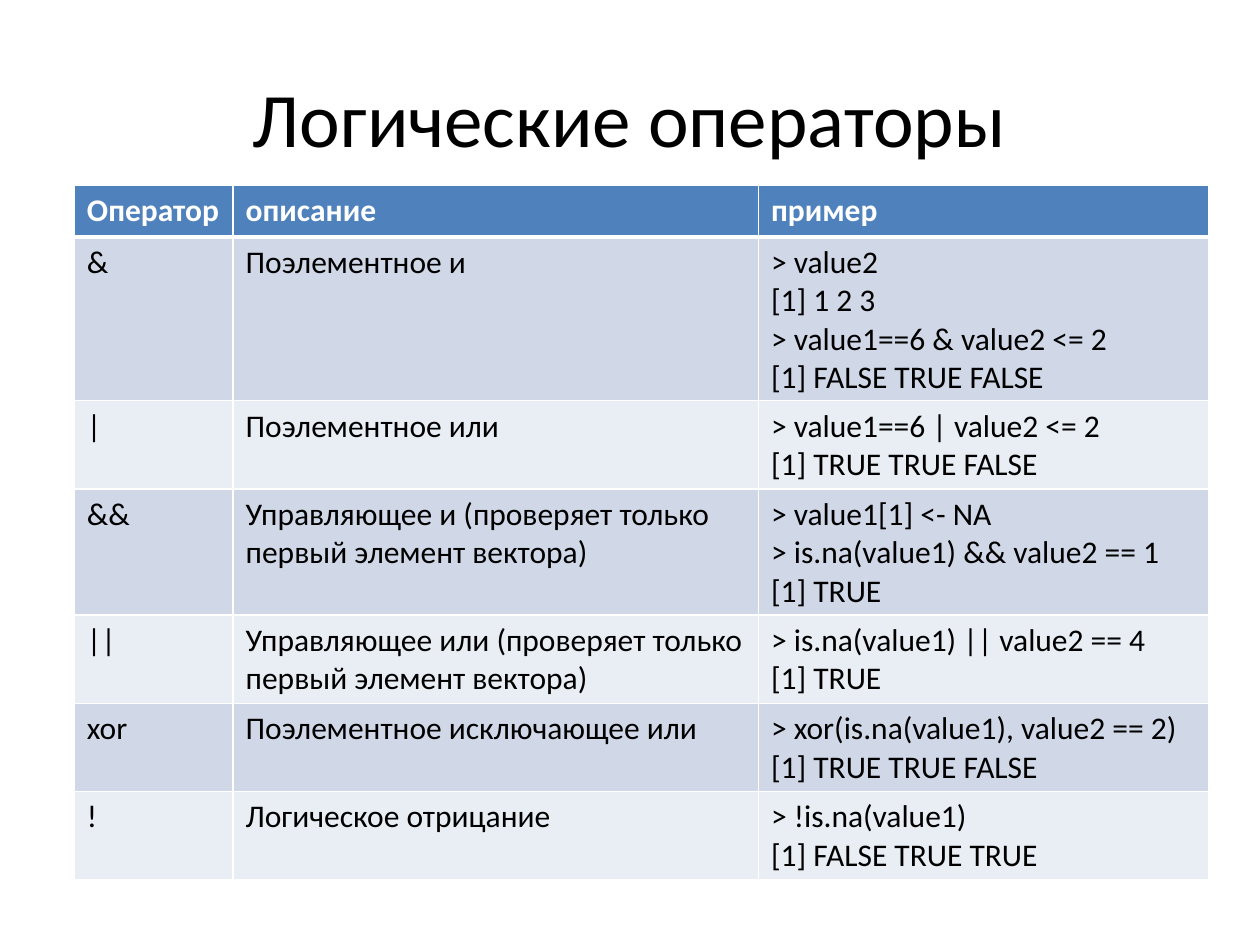
from lxml.etree import SubElement
from pptx import Presentation
from pptx.dml.color import RGBColor
from pptx.enum.text import MSO_ANCHOR as Anchor, PP_ALIGN as Align
from pptx.oxml.ns import qn
from pptx.util import Inches, Pt

BLACK = RGBColor(0x00, 0x00, 0x00)
WHITE = RGBColor(0xFF, 0xFF, 0xFF)
HEADER_BLUE = RGBColor(0x4F, 0x81, 0xBD)
BANDS = (RGBColor(0xD0, 0xD8, 0xE8), RGBColor(0xE9, 0xED, 0xF4))

TITLE = "Логические операторы"
ROWS = [
    ("Оператор", "описание", "пример"),
    ("&", "Поэлементное и",
     "> value2\n[1] 1 2 3\n> value1==6 & value2 <= 2\n[1] FALSE TRUE FALSE"),
    ("|", "Поэлементное или",
     "> value1==6 | value2 <= 2\n[1] TRUE TRUE FALSE"),
    ("&&", "Управляющее и (проверяет только первый элемент вектора)",
     "> value1[1] <- NA\n> is.na(value1) && value2 == 1\n[1] TRUE"),
    ("||", "Управляющее или (проверяет только первый элемент вектора)",
     "> is.na(value1) || value2 == 4\n[1] TRUE"),
    ("xor", "Поэлементное исключающее или",
     "> xor(is.na(value1), value2 == 2)\n[1] TRUE TRUE FALSE"),
    ("!", "Логическое отрицание",
     "> !is.na(value1)\n[1] FALSE TRUE TRUE"),
]
COLUMN_WIDTHS = (1.26, 4.17, 3.57)
ROW_HEIGHT = 0.41
TITLE_FONT = {"name": "Calibri", "size": Pt(44), "bold": False}
HEADER_FONT = {"name": "Calibri", "size": Pt(18), "bold": True}
BODY_FONT = {**HEADER_FONT, "bold": False}


def write_text(text_frame, text, font_format, color):
    text_frame.text = text
    for paragraph in text_frame.paragraphs:
        for run in paragraph.runs:
            for name, value in font_format.items():
                setattr(run.font, name, value)
            run.font.color.rgb = color


def add_borders(cell, widths):
    properties = cell._tc.get_or_add_tcPr()
    for side, width in widths.items():
        line = SubElement(properties, qn(f"a:ln{side}"), w=str(Pt(width)))
        fill = SubElement(line, qn("a:solidFill"))
        SubElement(fill, qn("a:srgbClr"), val=str(WHITE))


def add_title(slide):
    shape = slide.shapes.add_textbox(Inches(0.5), Inches(0.3), Inches(9), Inches(1.25))
    text_frame = shape.text_frame
    text_frame.word_wrap = True
    text_frame.vertical_anchor = Anchor.MIDDLE
    write_text(text_frame, TITLE, TITLE_FONT, BLACK)
    text_frame.paragraphs[0].alignment = Align.CENTER


def add_operator_table(slide):
    table = slide.shapes.add_table(
        len(ROWS), len(COLUMN_WIDTHS), Inches(0.59), Inches(1.47),
        Inches(sum(COLUMN_WIDTHS)), Inches(ROW_HEIGHT * len(ROWS))).table
    for column, width in zip(table.columns, COLUMN_WIDTHS):
        column.width = Inches(width)
    for index, texts in enumerate(ROWS):
        table.rows[index].height = Inches(ROW_HEIGHT)
        is_header = index == 0
        fill_color = HEADER_BLUE if is_header else BANDS[(index - 1) % 2]
        font_format, text_color = (HEADER_FONT, WHITE) if is_header else (BODY_FONT, BLACK)
        borders = {"L": 1, "R": 1, "T": 3 if index == 1 else 1, "B": 3 if is_header else 1}
        for cell, text in zip(table.rows[index].cells, texts):
            write_text(cell.text_frame, text, font_format, text_color)
            add_borders(cell, borders)
            cell.fill.solid()
            cell.fill.fore_color.rgb = fill_color


def main():
    presentation = Presentation()
    presentation.slide_width = Inches(10)
    presentation.slide_height = Inches(7.5)
    slide = presentation.slides.add_slide(presentation.slide_layouts[6])
    add_title(slide)
    add_operator_table(slide)
    presentation.save("out.pptx")


if __name__ == "__main__":
    main()
